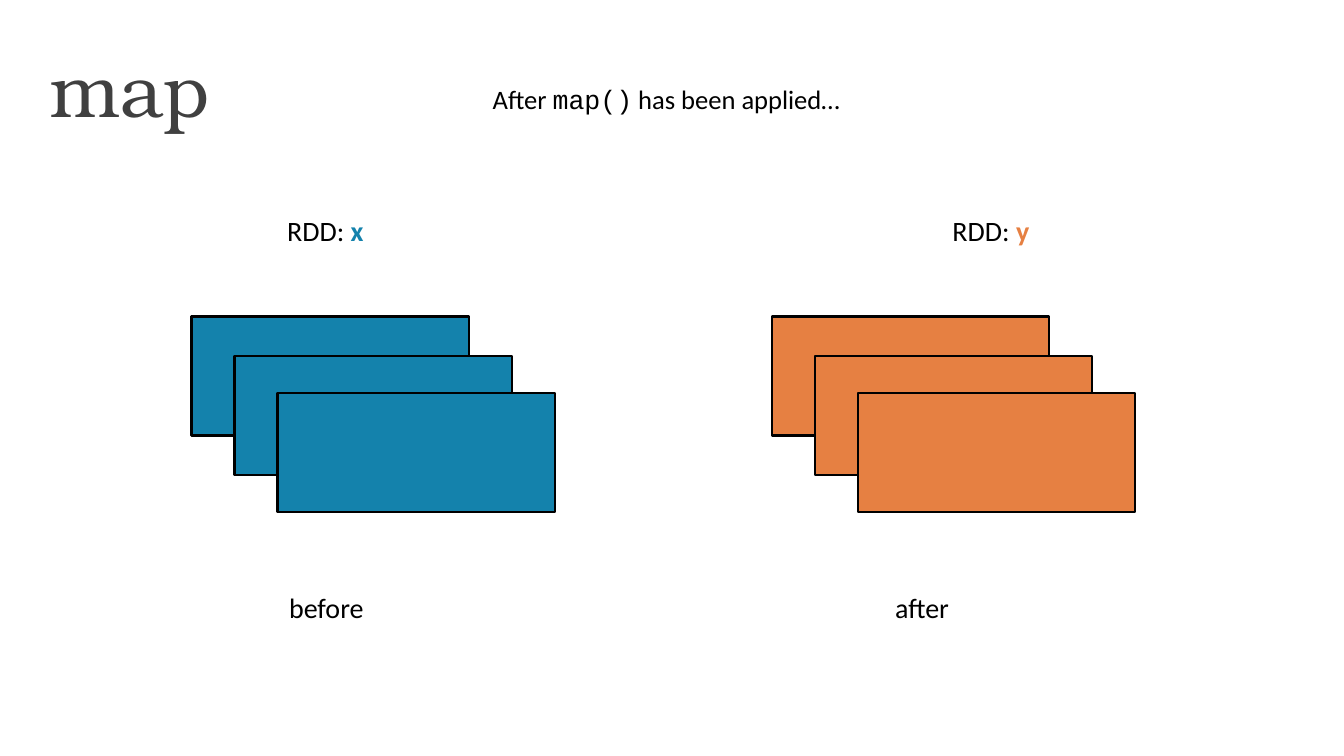
import pptx
import pptx.util
import pptx.dml.color
import pptx.enum.shapes
import pptx.enum.text

Pt = pptx.util.Pt
RGB = pptx.dml.color.RGBColor.from_string
MID = pptx.enum.text.MSO_ANCHOR.MIDDLE
TOP = pptx.enum.text.MSO_ANCHOR.TOP
GROW = pptx.enum.text.MSO_AUTO_SIZE.SHAPE_TO_FIT_TEXT
FIXED = pptx.enum.text.MSO_AUTO_SIZE.NONE
RECT = pptx.enum.shapes.MSO_SHAPE.RECTANGLE

# Content
HUES = {"ink": "000000", "title": "404040", "x": "1482AC", "y": "E68042"}
BODY, CODE, SERIF = "Calibri", "Courier New", "TeX Gyre Bonum"

# Each run: text, font, colour, bold
TITLE = [("map", SERIF, "title", False)]
LEAD = [("After ", BODY, "ink", False),
        ("map()", CODE, "ink", False),
        (" has been applied…", BODY, "ink", False)]

# Each side: RDD name, label left, stack left, caption, caption left
SIDES = [("x", 198, 136.8, "before", 199.4),
         ("y", 673.2, 551.5, "after", 632.2)]

# Stack of partitions: offsets of each card from the first
CARD = (198, 85)
STACK_TOP = 226.1
STEPS = [(0, 0), (30.7, 28.4), (61.4, 54.8)]

deck = pptx.Presentation()
deck.slide_width, deck.slide_height = Pt(960), Pt(540)
slide = deck.slides.add_slide(deck.slide_layouts[6])


def write(runs, size, left, top, width, height, **form):
    box = slide.shapes.add_textbox(Pt(left), Pt(top), Pt(width), Pt(height))
    frame = box.text_frame
    look = {"word_wrap": True, "auto_size": GROW, "vertical_anchor": TOP}
    for key, value in (look | form).items():
        setattr(frame, key, value)
    for text, face, hue, bold in runs:
        run = frame.paragraphs[0].add_run()
        run.text = text
        for key, value in {"name": face, "size": Pt(size), "bold": bold}.items():
            setattr(run.font, key, value)
        run.font.color.rgb = RGB(HUES[hue])
    return frame


def card(left, top, hue):
    rect = slide.shapes.add_shape(RECT, Pt(left), Pt(top), *map(Pt, CARD))
    rect.shadow.inherit = False
    rect.fill.solid()
    rect.fill.fore_color.rgb = RGB(HUES[hue])
    rect.line.color.rgb = RGB(HUES["ink"])
    rect.line.width = Pt(1.5)


# Title and lead line
head = write(TITLE, 53, 26.6, 21.6, 898.6, 90, auto_size=FIXED,
             vertical_anchor=MID, margin_left=Pt(9.4), margin_right=Pt(9.4),
             margin_top=Pt(5), margin_bottom=Pt(5))
head.paragraphs[0].line_spacing = 0.9
write(LEAD, 19, 344.9, 55.4, 278.6, 28.8)

# Before and after: label, stack, caption
for name, label, stack, caption, foot in SIDES:
    for right, down in STEPS:
        card(stack + right, STACK_TOP + down, name)
    write([("RDD: ", BODY, "ink", False), (name, BODY, name, True)],
          20, label, 149, 111.6, 31.7)
    write([(caption, BODY, "ink", False)], 20, foot, 418.3, 135.4, 31.7)

deck.save("out.pptx")
